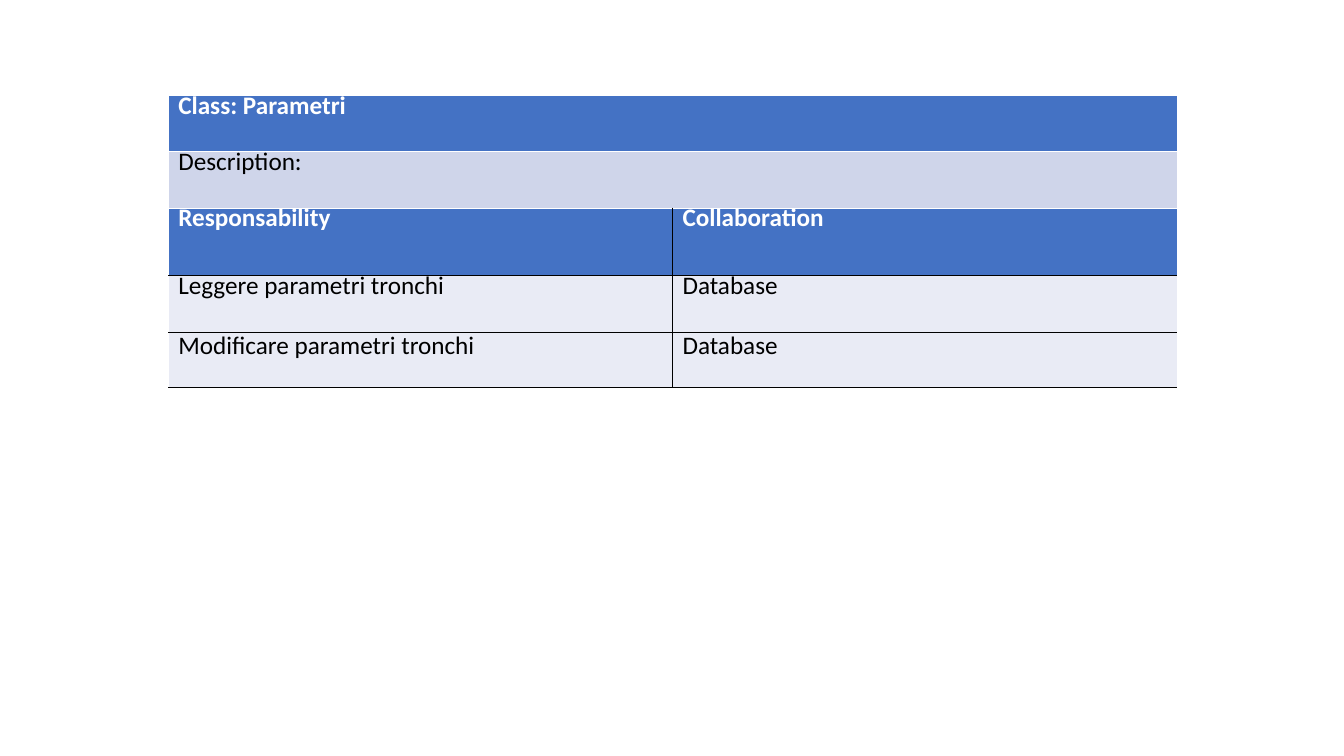
from dataclasses import dataclass

from lxml.etree import SubElement as Sub
from pptx import Presentation
from pptx.dml.color import RGBColor as RGB
from pptx.oxml.ns import qn
from pptx.util import Inches, Pt


@dataclass(frozen=True)
class Theme:
    font: str = "Calibri"
    size: float = 18
    line: float = 0.06
    blue: str = "4472C4"
    mid: str = "CFD5EA"
    pale: str = "E9EBF5"
    white: str = "FFFFFF"
    black: str = "000000"


@dataclass(frozen=True)
class Row:
    texts: tuple
    height: float
    fill: str
    head: bool = False
    space: float = 0.58


THEME = Theme()


def add_edge(cell, side, color):
    edge = Sub(cell._tc.get_or_add_tcPr(), qn(f"a:ln{side}"), w=str(Pt(THEME.line)))
    Sub(Sub(edge, qn("a:solidFill")), qn("a:srgbClr"), val=color)


def fill_cell(cell, text, row, edges):
    """Style one cell; edges maps L, R, T, B to colours, in that order."""
    for side, color in edges.items():
        add_edge(cell, side, color)
    cell.fill.solid()
    cell.fill.fore_color.rgb = RGB.from_string(row.fill)
    para = cell.text_frame.paragraphs[0]
    para.line_spacing = row.space
    run = para.add_run()
    run.text = text
    font = run.font
    font.name, font.size, font.bold = THEME.font, Pt(THEME.size), row.head
    font.color.rgb = RGB.from_string(THEME.white if row.head else THEME.black)


def add_grid(slide, left, top, width, rows, inner):
    """Place a table with white outer sides and top, and inner-coloured rules.

    Returns the y of its bottom edge.
    """
    count = len(rows[0].texts)
    height = sum(row.height for row in rows)
    frame = slide.shapes.add_table(len(rows), count, Inches(left), Inches(top),
                                   Inches(width), Inches(height))
    table = frame.table
    for col in table.columns:
        col.width = Inches(width / count)
    for r, row in enumerate(rows):
        table.rows[r].height = Inches(row.height)
        for c, text in enumerate(row.texts):
            edges = {
                "L": inner if c else THEME.white,
                "R": inner if c < count - 1 else THEME.white,
                "T": inner if r else THEME.white,
                "B": inner,
            }
            fill_cell(table.cell(r, c), text, row, edges)
    return top + height


def add_card(slide, left, top, width):
    """Draw the class card: its title table, then its duties table right below."""
    title = [
        Row(("Class: Parametri",), 0.56, THEME.blue, head=True),
        Row(("Description:",), 0.56, THEME.mid),
    ]
    duties = [
        Row(("Responsability", "Collaboration"), 0.67, THEME.blue, head=True),
        Row(("Leggere parametri tronchi", "Database"), 0.57, THEME.pale),
        Row(("Modificare parametri tronchi", "Database"), 0.54, THEME.pale, space=0.69),
    ]
    base = add_grid(slide, left, top, width, title, THEME.white)
    add_grid(slide, left, base, width, duties, THEME.black)


def main():
    deck = Presentation()
    deck.slide_width, deck.slide_height = Inches(13.34), Inches(7.5)
    slide = deck.slides.add_slide(deck.slide_layouts[6])
    add_card(slide, 1.67, 0.94, 10.01)
    deck.save("out.pptx")


if __name__ == "__main__":
    main()
